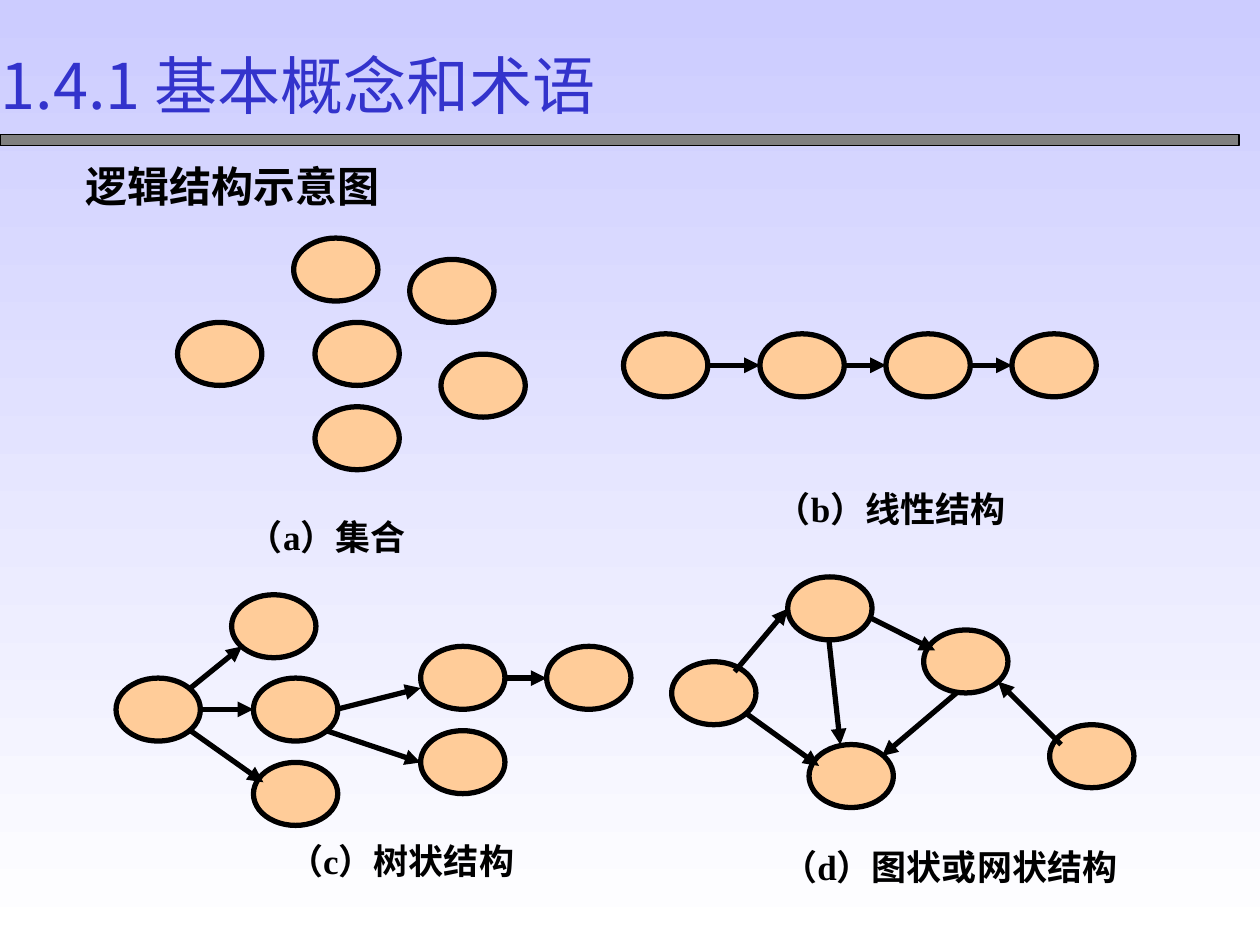
"""Build a slide that sketches four kinds of logical structure."""
from dataclasses import dataclass
from typing import Any

from lxml.etree import SubElement as add_sub
from pptx import Presentation as Deck
from pptx.dml.color import RGBColor as Rgb
from pptx.enum.lang import MSO_LANGUAGE_ID as Lang
from pptx.enum.shapes import MSO_CONNECTOR as Wire, MSO_SHAPE as Form
from pptx.enum.text import MSO_AUTO_SIZE as Fit
from pptx.oxml.ns import qn
from pptx.util import Cm, Pt

Point = tuple[float, float]
Link = tuple[Point, Point]


@dataclass(frozen=True)
class Theme:
    top: Rgb = Rgb(0xCC, 0xCC, 0xFF)
    base: Rgb = Rgb(0xFF, 0xFF, 0xFF)
    bar: Rgb = Rgb(0x80, 0x80, 0x80)
    title: Rgb = Rgb(0x33, 0x33, 0xCC)
    ink: Rgb = Rgb(0, 0, 0)
    node: Rgb = Rgb(0xFF, 0xCC, 0x99)
    sans: str = "Noto Sans CJK SC"
    serif: str = "Times New Roman"
    title_size: float = 36
    head_size: float = 24
    label_size: float = 20
    thin: float = 0.75
    thick: float = 3


@dataclass(frozen=True)
class Label:
    text: str
    x: float
    y: float
    w: float
    h: float = 1.12


@dataclass(frozen=True)
class Graph:
    label: Label
    nodes: list[Point]
    links: list[Link]


THEME = Theme()
NODE_W, NODE_H = 1.7, 1.27
CHAIN = [(x, 6.73) for x in (12.57, 15.32, 17.86, 20.4)]
MID = 6.73 + NODE_H / 2

GRAPHS = [
    Graph(Label("（b）线性结构", 15.39, 9.7, 5.8), CHAIN,
          [((a[0] + NODE_W, MID), (b[0], MID)) for a, b in zip(CHAIN, CHAIN[1:])]),
    Graph(Label("（c）树状结构", 5.56, 16.79, 5.8),
          [(2.34, 13.67), (5.11, 13.67), (8.48, 13.03), (11.02, 13.03),
           (4.67, 11.99), (5.11, 15.37), (8.48, 14.73)],
          [((4.04, 14.3), (5.11, 14.3)), ((6.78, 14.3), (8.48, 13.87)),
           ((10.19, 13.67), (11.02, 13.67)), ((3.84, 13.87), (4.88, 13.03)),
           ((3.84, 14.73), (5.31, 15.77)), ((6.58, 14.73), (8.48, 15.37))]),
    Graph(Label("（d）图状或网状结构", 15.52, 16.92, 8),
          [(13.54, 13.34), (18.62, 12.7), (15.88, 11.63), (16.31, 15.01),
           (21.16, 14.61)],
          [((15.04, 14.38), (16.51, 15.44)), ((14.81, 13.54), (15.88, 12.27)),
           ((17.58, 12.47), (18.85, 13.11)), ((19.28, 13.97), (17.78, 15.24)),
           ((21.39, 15.01), (20.12, 13.74)), ((16.71, 12.9), (16.94, 15.01))]),
    Graph(Label("（a）集合", 4.75, 10.26, 4.4),
          [(3.58, 6.5), (6.35, 6.5), (8.26, 5.23), (5.92, 4.8),
           (6.35, 8.2), (8.89, 7.14)], []),
]


def draw_form(shapes: Any, form: Form, box: tuple[float, ...], fill: Rgb,
              width: float) -> None:
    shape = shapes.add_shape(form, *map(Cm, box))
    shape.shadow.inherit = False
    shape.fill.solid()
    shape.fill.fore_color.rgb = fill
    shape.line.color.rgb = THEME.ink
    shape.line.width = Pt(width)


def draw_link(shapes: Any, link: Link) -> None:
    start, end = link
    wire = shapes.add_connector(Wire.STRAIGHT, *map(Cm, start + end))
    wire.line.color.rgb = THEME.ink
    wire.line.width = Pt(THEME.thick)
    add_sub(wire.line._get_or_add_ln(), qn("a:tailEnd"), type="triangle")
    add_sub(wire._element.spPr, qn("a:effectLst"))


def draw_text(shapes: Any, label: Label, size: float, face: str = THEME.serif,
              ink: Rgb = THEME.ink, bold: bool = True) -> None:
    box = shapes.add_textbox(*map(Cm, (label.x, label.y, label.w, label.h)))
    frame = box.text_frame
    frame.text = label.text
    frame.word_wrap = False
    frame.auto_size = Fit.SHAPE_TO_FIT_TEXT
    run = frame.paragraphs[0].runs[0]
    font = run.font
    font.name, font.size, font.bold = face, Pt(size), bold
    font.color.rgb = ink
    font.language_id = Lang.SIMPLIFIED_CHINESE
    add_sub(run._r.get_or_add_rPr(), qn("a:ea"), typeface=THEME.sans)


def draw_graph(shapes: Any, graph: Graph) -> None:
    parts = shapes.add_group_shape().shapes
    for x, y in graph.nodes:
        draw_form(parts, Form.OVAL, (x, y, NODE_W, NODE_H), THEME.node, THEME.thick)
    for link in graph.links:
        draw_link(parts, link)
    draw_text(parts, graph.label, THEME.label_size)


def paint_back(slide: Any) -> None:
    fill = slide.background.fill
    fill.gradient()
    fill.gradient_angle = 270
    for stop, ink, place in zip(fill.gradient_stops, (THEME.top, THEME.base), (0, 1)):
        stop.color.rgb = ink
        stop.position = place


def main() -> None:
    deck = Deck()
    deck.slide_width, deck.slide_height = Cm(25.4), Cm(19.05)
    slide = deck.slides.add_slide(deck.slide_layouts[6])
    paint_back(slide)
    shapes = slide.shapes
    draw_form(shapes, Form.RECTANGLE, (0, 2.71, 24.98, 0.22), THEME.bar, THEME.thin)
    draw_text(shapes, Label("1.4.1 基本概念和术语", -0.23, 0.81, 14.27, 1.78),
              THEME.title_size, THEME.sans, THEME.title, False)
    draw_text(shapes, Label("逻辑结构示意图", 1.47, 3.12, 6.43, 1.27), THEME.head_size)
    for graph in GRAPHS:
        draw_graph(shapes, graph)
    deck.save("out.pptx")


if __name__ == "__main__":
    main()
